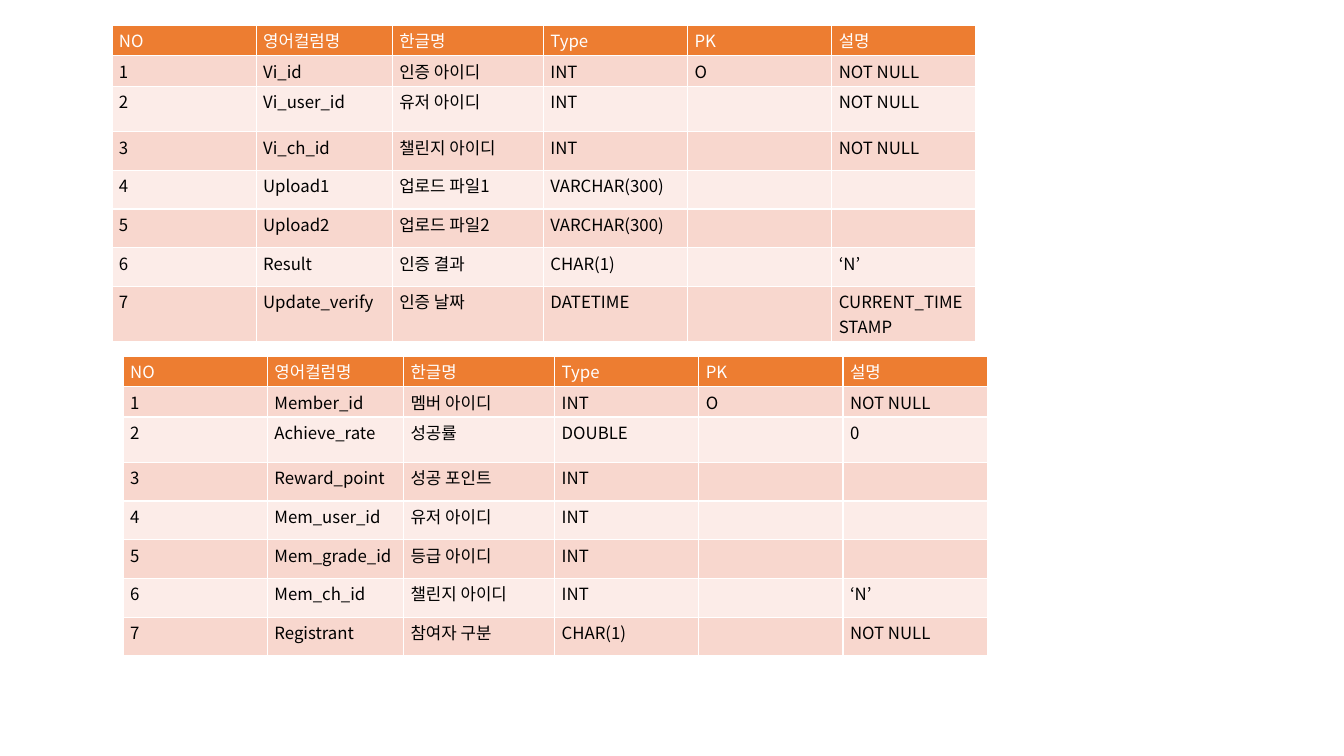
"""Build a slide with two database column definition tables."""
from dataclasses import dataclass

from lxml.etree import SubElement
from pptx import Presentation
from pptx.dml.color import RGBColor as RGB
from pptx.oxml.ns import qn
from pptx.table import _Cell as Cell
from pptx.util import Emu, Inches, Pt

COLORS = {"header": "ED7D31", "odd": "F8D7CE", "even": "FCECE8",
          "white": "FFFFFF", "black": "000000"}
FONT = "Noto Sans CJK KR"
SLIDE_W, SLIDE_H = Inches(13.333), Inches(7.5)
HEADER = ("NO", "영어컬럼명", "한글명", "Type", "PK", "설명")
COL_PCT = (10.73, 10.13, 11.25, 10.73, 10.73, 10.73)
ROW_PCT = (3.6, 3.6, 6) + (5.12,) * 4


@dataclass
class Column:
    name: str
    korean: str
    type: str
    pk: str = ""
    note: str = ""


@dataclass
class Schema:
    left: float
    top: float
    last_row: float
    columns: list[Column]


SCHEMAS = [
    Schema(8.33, 3.36, 6.27, [
        Column("Vi_id", "인증 아이디", "INT", "O", "NOT NULL"),
        Column("Vi_user_id", "유저 아이디", "INT", note="NOT NULL"),
        Column("Vi_ch_id", "챌린지 아이디", "INT", note="NOT NULL"),
        Column("Upload1", "업로드 파일1", "VARCHAR(300)"),
        Column("Upload2", "업로드 파일2", "VARCHAR(300)"),
        Column("Result", "인증 결과", "CHAR(1)", note="‘N’"),
        Column("Update_verify", "인증 날짜", "DATETIME", note="CURRENT_TIMESTAMP"),
    ]),
    Schema(9.17, 47.1, 5.12, [
        Column("Member_id", "멤버 아이디", "INT", "O", "NOT NULL"),
        Column("Achieve_rate", "성공률", "DOUBLE", note="0"),
        Column("Reward_point", "성공 포인트", "INT"),
        Column("Mem_user_id", "유저 아이디", "INT"),
        Column("Mem_grade_id", "등급 아이디", "INT"),
        Column("Mem_ch_id", "챌린지 아이디", "INT", note="‘N’"),
        Column("Registrant", "참여자 구분", "CHAR(1)", note="NOT NULL"),
    ]),
]


def across(pct: float) -> Emu:
    """Turn a percentage of the slide width into a length."""
    return Emu(round(SLIDE_W * pct / 100))


def down(pct: float) -> Emu:
    """Turn a percentage of the slide height into a length."""
    return Emu(round(SLIDE_H * pct / 100))


def draw_borders(cell: Cell) -> None:
    """Give the cell thin white borders on every side."""
    tc_pr = cell._tc.get_or_add_tcPr()
    for side in ("lnL", "lnR", "lnT", "lnB"):
        ln = SubElement(tc_pr, qn(f"a:{side}"), w=str(Pt(1)))
        fill = SubElement(ln, qn("a:solidFill"))
        SubElement(fill, qn("a:srgbClr"), val=COLORS["white"])


def fill_cell(cell: Cell, text: str, fill: str, color: str) -> None:
    """Write and format one table cell."""
    cell.margin_left = cell.margin_right = Inches(0.07)
    cell.margin_top = cell.margin_bottom = Inches(0.03)
    draw_borders(cell)
    cell.fill.solid()
    cell.fill.fore_color.rgb = RGB.from_string(COLORS[fill])
    p = cell.text_frame.paragraphs[0]
    p.text = text
    for r in p.runs:
        r.font.size = Pt(12)
        r.font.bold = False
        r.font.color.rgb = RGB.from_string(COLORS[color])
        r.font.name = FONT
        SubElement(r._r.get_or_add_rPr(), qn("a:ea"), typeface=FONT)
    if not text:
        SubElement(p._p, qn("a:endParaRPr"), sz="1200")


def draw_schema(shapes, schema: Schema) -> None:
    """Draw one schema as a banded table."""
    rows = [HEADER] + [(str(n), c.name, c.korean, c.type, c.pk, c.note)
                       for n, c in enumerate(schema.columns, 1)]
    heights = ROW_PCT + (schema.last_row,)
    table = shapes.add_table(len(rows), len(HEADER), across(schema.left),
                             down(schema.top), across(sum(COL_PCT)),
                             down(sum(heights))).table
    table.first_row = table.horz_banding = False
    for col, pct in zip(table.columns, COL_PCT):
        col.width = across(pct)
    for i, (values, pct) in enumerate(zip(rows, heights)):
        table.rows[i].height = down(pct)
        fill = "header" if i == 0 else "odd" if i % 2 else "even"
        for j, text in enumerate(values):
            fill_cell(table.cell(i, j), text, fill, "black" if i else "white")


def main() -> None:
    """Create the presentation and save it."""
    prs = Presentation()
    prs.slide_width, prs.slide_height = SLIDE_W, SLIDE_H
    s = prs.slides.add_slide(prs.slide_layouts[6])
    for schema in SCHEMAS:
        draw_schema(s.shapes, schema)
    prs.save("out.pptx")


if __name__ == "__main__":
    main()
